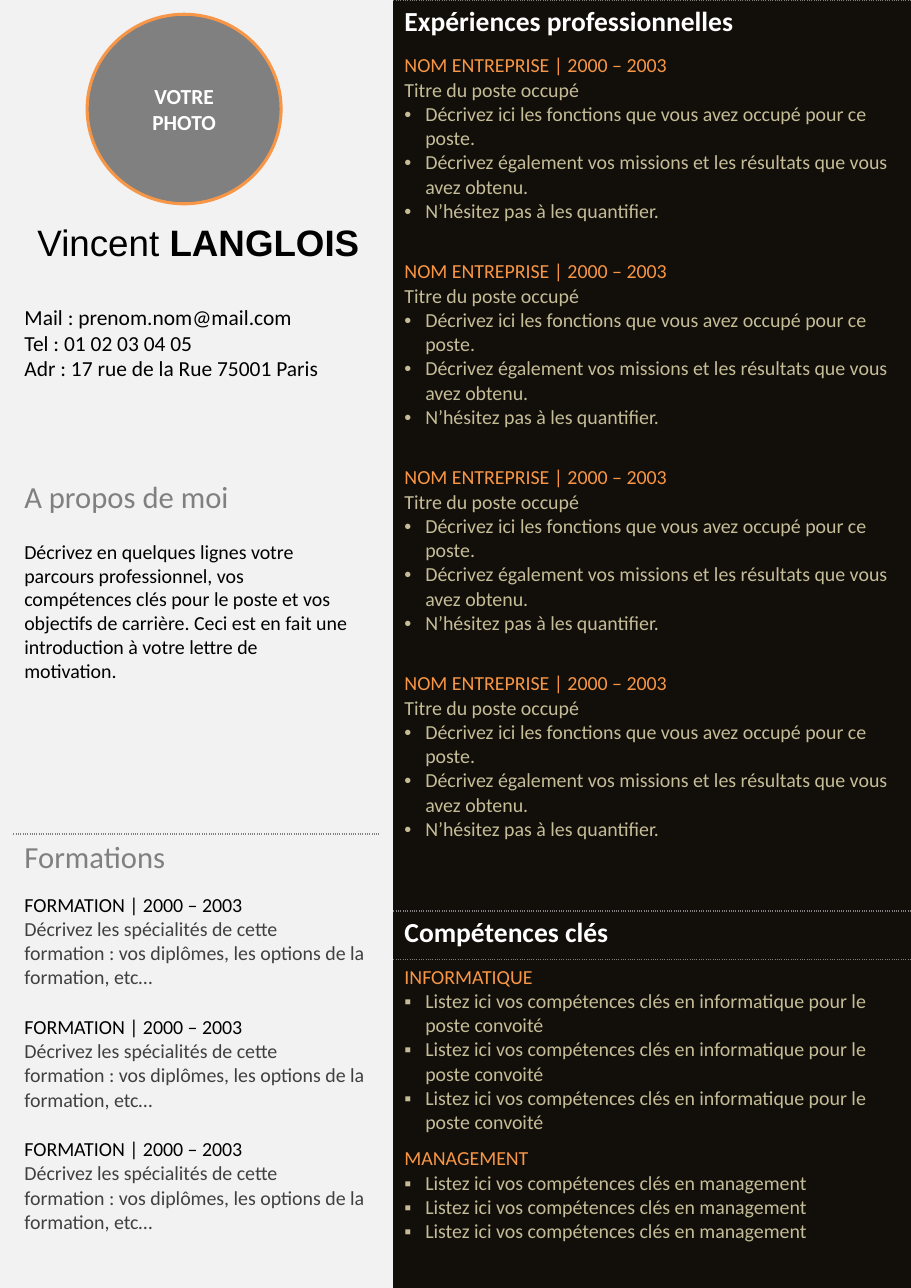
"""Builds a one-page A4 résumé with a light profile column and a dark career column."""
from dataclasses import dataclass

from lxml.etree import SubElement
from pptx import Presentation
from pptx.dml.color import RGBColor
from pptx.enum.shapes import MSO_CONNECTOR, MSO_SHAPE
from pptx.enum.text import MSO_ANCHOR, MSO_AUTO_SIZE, PP_ALIGN
from pptx.oxml import parse_xml
from pptx.oxml.ns import nsdecls, qn
from pptx.util import Cm, Pt

FIRST_NAME, LAST_NAME = "Vincent ", "LANGLOIS"
PHOTO = [("photo", "VOTRE"), ("photo", "PHOTO")]
CONTACT = [
    ("contact", "Mail : prenom.nom@mail.com"),
    ("contact", "Tel : 01 02 03 04 05"),
    ("contact", "Adr : 17 rue de la Rue 75001 Paris"),
]
ABOUT = [
    ("section", "A propos de moi"),
    ("entry", "Décrivez en quelques lignes votre parcours professionnel, vos compétences clés "
              "pour le poste et vos objectifs de carrière. Ceci est en fait une introduction "
              "à votre lettre de motivation."),
]
EXPERIENCE = [
    ("employer", "NOM ENTREPRISE | 2000 – 2003"),
    ("detail", "Titre du poste occupé"),
    ("task", "Décrivez ici les fonctions que vous avez occupé pour ce poste."),
    ("task", "Décrivez également vos missions et les résultats que vous avez obtenu."),
    ("task", "N’hésitez pas à les quantifier."),
]
COMPUTING = [("employer", "INFORMATIQUE")] + 3 * [
    ("skill", "Listez ici vos compétences clés en informatique pour le poste convoité")]
MANAGEMENT = [("employer", "MANAGEMENT")] + 3 * [
    ("skill", "Listez ici vos compétences clés en management")]
TRAINING = [
    ("entry", "FORMATION | 2000 – 2003"),
    ("course", "Décrivez les spécialités de cette formation : vos diplômes, "
               "les options de la formation, etc…"),
]
CAREER_ROWS = [
    (1.12, [("heading", "Expériences professionnelles")]),
    *4 * [(4.75, EXPERIENCE)],
    (0.89, []),
    (1.12, [("heading", "Compétences clés")]),
    (4.19, COMPUTING),
    (2.51, MANAGEMENT),
    (0.87, []),
]
TRAINING_ROWS = [(1.24, [("section", "Formations")]), *3 * [(2.82, TRAINING)]]


@dataclass(frozen=True)
class Theme:
    """Colours, fonts and type sizes of the résumé."""
    paper: str = "F2F2F2"
    night: str = "120E0A"
    accent: str = "F79646"
    sand: str = "C4BD97"
    white: str = "FFFFFF"
    ink: str = "000000"
    charcoal: str = "404040"
    grey: str = "808080"
    divider: str = "7F7F7F"
    body_font: str = "Calibri"
    name_font: str = "Arial"
    name_size: int = 24
    section_size: int = 20
    heading_size: int = 18
    contact_size: int = 14
    text_size: int = 13


THEME = Theme()
ROLES = {
    "photo": (THEME.contact_size, THEME.white, True, None),
    "contact": (THEME.contact_size, THEME.ink, False, None),
    "section": (THEME.section_size, THEME.grey, False, None),
    "heading": (THEME.heading_size, THEME.white, True, None),
    "entry": (THEME.text_size, THEME.ink, False, None),
    "course": (THEME.text_size, THEME.charcoal, False, None),
    "employer": (THEME.text_size, THEME.accent, False, None),
    "detail": (THEME.text_size, THEME.sand, False, None),
    "task": (THEME.text_size, THEME.sand, False, "•"),
    "skill": (THEME.text_size, THEME.sand, False, "▪"),
}
PAGE_WIDTH, PAGE_HEIGHT = Cm(21), Cm(29.7)
COLUMN_EDGE, MARGIN = Cm(9.07), Cm(0.31)
BULLET_INDENT = Cm(0.48)


def colour(code):
    """Return a colour object for a hexadecimal code."""
    return RGBColor.from_string(code)


def format_run(run, size, code, bold, font):
    """Apply size, colour, weight and font to a run."""
    run.font.size, run.font.bold, run.font.name = Pt(size), bold, font
    run.font.color.rgb = colour(code)


def write(frame, lines, align=PP_ALIGN.LEFT):
    """Fill a text frame with (role, text) lines, bulleted where the role asks for it."""
    frame.text = "\n".join(text for _, text in lines)
    for paragraph, (role, _) in zip(frame.paragraphs, lines):
        size, code, bold, bullet = ROLES[role]
        paragraph.alignment, paragraph.space_before = align, Pt(0)
        properties = paragraph._p.get_or_add_pPr()
        indent = BULLET_INDENT if bullet else 0
        properties.set("marL", str(indent))
        properties.set("indent", str(-indent))
        if bullet:
            SubElement(properties, qn("a:buFont")).set("typeface", THEME.name_font)
            SubElement(properties, qn("a:buChar")).set("char", bullet)
        else:
            SubElement(properties, qn("a:buNone"))
        for run in paragraph.runs:
            format_run(run, size, code, bold, THEME.body_font)


def place(shape, left, top, width, height):
    """Move and size a placeholder."""
    shape.left, shape.top, shape.width, shape.height = left, top, width, height
    shape.text_frame.auto_size = MSO_AUTO_SIZE.NONE
    shape.text_frame.vertical_anchor = MSO_ANCHOR.TOP


def add_dotted_top(cell):
    """Draw a dotted rule above a cell."""
    cell._tc.get_or_add_tcPr().insert(0, parse_xml(
        f'<a:lnT {nsdecls("a")} w="12700"><a:solidFill><a:srgbClr val="{THEME.grey}"/>'
        '</a:solidFill><a:prstDash val="sysDot"/></a:lnT>'))


def add_column(slide, rows, left, top, width, fill=None):
    """Add a one-column table whose titled rows carry a dotted rule."""
    total = sum(Cm(height) for height, _ in rows)
    table = slide.shapes.add_table(len(rows), 1, left, top, width, total).table
    table.first_row = table.horz_banding = False
    table._tbl.tblPr.find(qn("a:tableStyleId")).text = "{2D5ABB26-0587-4C30-8999-92F81FD0307C}"
    for index, (height, lines) in enumerate(rows):
        table.rows[index].height = Cm(height)
        cell = table.cell(index, 0)
        if fill:
            cell.fill.solid()
            cell.fill.fore_color.rgb = colour(fill)
        else:
            cell.fill.background()
        if not lines:
            cell.margin_top = cell.margin_bottom = 0
            continue
        write(cell.text_frame, lines)
        if lines[0][0] in ("heading", "section"):
            add_dotted_top(cell)


def main():
    """Compose the page and save it."""
    deck = Presentation()
    deck.slide_width, deck.slide_height = PAGE_WIDTH, PAGE_HEIGHT
    slide = deck.slides.add_slide(deck.slide_layouts[1])
    shapes = slide.shapes

    panel = shapes.add_shape(MSO_SHAPE.RECTANGLE, 0, 0, COLUMN_EDGE, PAGE_HEIGHT)
    panel.shadow.inherit = False
    panel.fill.solid()
    panel.fill.fore_color.rgb = colour(THEME.paper)
    panel.line.fill.background()
    shapes._spTree.insert(2, panel._element)

    name = shapes.title
    place(name, Cm(0.61), Cm(4.95), Cm(8), Cm(1.27))
    name.text_frame.word_wrap = False
    name.text_frame.text = FIRST_NAME
    name_line = name.text_frame.paragraphs[0]
    name_line.alignment = PP_ALIGN.LEFT
    name_line.add_run().text = LAST_NAME
    for run, bold in zip(name_line.runs, (False, True)):
        format_run(run, THEME.name_size, THEME.ink, bold, THEME.name_font)

    divider = shapes.add_connector(MSO_CONNECTOR.STRAIGHT, COLUMN_EDGE, 0, COLUMN_EDGE, PAGE_HEIGHT)
    divider.line.color.rgb = colour(THEME.divider)
    divider.line.width = Pt(0.5)
    SubElement(divider._element.spPr, qn("a:effectLst"))

    add_column(slide, CAREER_ROWS, COLUMN_EDGE, 0, PAGE_WIDTH - COLUMN_EDGE, THEME.night)
    add_column(slide, TRAINING_ROWS, MARGIN, Cm(19.23), Cm(8.43))

    contact = slide.placeholders[1]
    place(contact, MARGIN, Cm(6.88), Cm(7.87), Cm(2.06))
    write(contact.text_frame, CONTACT)

    about = shapes.add_textbox(MARGIN, Cm(10.9), Cm(8), Cm(5)).text_frame
    about.word_wrap = True
    write(about, ABOUT)
    about.paragraphs[1].space_before = Pt(16)

    photo = shapes.add_shape(MSO_SHAPE.OVAL, Cm(2.01), Cm(0.33), Cm(4.47), Cm(4.37))
    photo.shadow.inherit = False
    photo.fill.solid()
    photo.fill.fore_color.rgb = colour(THEME.grey)
    photo.line.color.rgb = colour(THEME.accent)
    photo.line.width = Pt(2)
    photo.text_frame.vertical_anchor = MSO_ANCHOR.MIDDLE
    write(photo.text_frame, PHOTO, PP_ALIGN.CENTER)

    deck.save("out.pptx")


if __name__ == "__main__":
    main()
